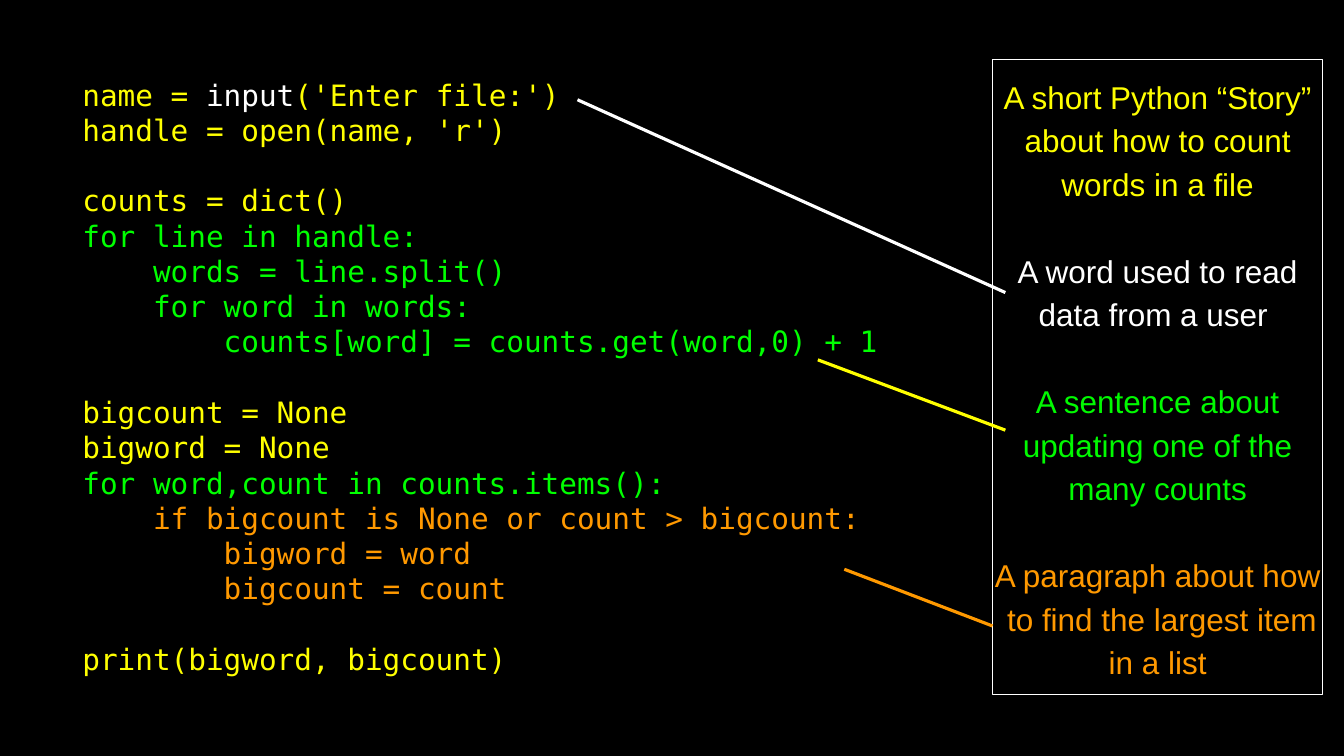
"""Build a slide that reads a word-counting program as a story."""
import pptx
import pptx.dml.color
import pptx.enum.shapes
import pptx.enum.text
import pptx.util
from pptx.oxml.ns import qn
from lxml import etree

Inches = pptx.util.Inches
Pt = pptx.util.Pt

THEME = {
    "black": "000000", "white": "FFFFFF", "yellow": "FFFF00",
    "green": "00FF00", "leaf": "00FA00", "orange": "FF9900",
    "code": {"font": "DejaVu Sans Mono", "size": 28, "pitch": 33.6},
    "story": {"font": "Arial", "size": 30, "pitch": 41.4},
    "border": 0.75, "pointer": 3,
}

CODE_STANZAS = [
    [
        [("name = ", "yellow"), ("input", "white"), ("('Enter file:')", "yellow")],
        [("handle = open(name, 'r')", "yellow")],
    ],
    [
        [("counts = dict()", "yellow")],
        [("for line in handle:", "green")],
        [("    words = line.split()", "green")],
        [("    for word in words:", "green")],
        [("        counts[word] = counts.get(word,0) + 1", "green")],
    ],
    [
        [("bigcount = None", "yellow")],
        [("bigword = None", "yellow")],
        [("for word,count in counts.items():", "green")],
        [("    if bigcount is None or count > bigcount:", "orange")],
        [("        bigword = word", "orange")],
        [("        bigcount = count", "orange")],
    ],
    [[("print(bigword, bigcount)", "yellow")]],
]
STORY_STANZAS = [
    [[("A short Python “Story” about how to count words in a file", "yellow")]],
    [[("A word used to read data from a user ", "white")]],
    [[("A sentence about updating one of the many counts", "leaf")]],
    [[("A paragraph about how  to find the largest item in a list", "orange")]],
]
CODE_BOX = (1.09, 0.85, 10.97, 8.26)
STORY_BOX = (13.13, 0.78, 4.37, 8.4)
POINTERS = [
    ((7.64, 1.32), (13.3, 3.87), "white"),
    ((10.82, 4.76), (13.3, 5.69), "yellow"),
    ((11.17, 7.53), (13.13, 8.28), "orange"),
]


def color(name):
    return pptx.dml.color.RGBColor.from_string(THEME[name])


def write_stanzas(shape, stanzas, style, alignment):
    frame = shape.text_frame
    frame.word_wrap = True
    frame.vertical_anchor = pptx.enum.text.MSO_ANCHOR.MIDDLE
    frame.margin_left = frame.margin_right = frame.margin_top = frame.margin_bottom = 0
    paragraph = None
    for stanza in stanzas:
        for index, line in enumerate(stanza):
            starts_later_stanza = paragraph is not None and index == 0
            paragraph = frame.paragraphs[0] if paragraph is None else frame.add_paragraph()
            paragraph.alignment = alignment
            paragraph.line_spacing = Pt(style["pitch"])
            paragraph.space_before = Pt(style["pitch"] if starts_later_stanza else 0)
            for text, color_name in line:
                run = paragraph.add_run()
                run.text = text
                run.font.name = style["font"]
                run.font.size = Pt(style["size"])
                run.font.color.rgb = color(color_name)


def add_pointer(slide, start, end, color_name):
    connector = slide.shapes.add_connector(
        pptx.enum.shapes.MSO_CONNECTOR.STRAIGHT, *map(Inches, start + end))
    connector.line.color.rgb = color(color_name)
    connector.line.width = Pt(THEME["pointer"])
    etree.SubElement(connector._element.spPr, qn("a:effectLst"))


def main():
    presentation = pptx.Presentation()
    presentation.slide_width = Inches(17.78)
    presentation.slide_height = Inches(10)
    slide = presentation.slides.add_slide(presentation.slide_layouts[6])
    slide.background.fill.solid()
    slide.background.fill.fore_color.rgb = color("black")

    code = slide.shapes.add_textbox(*map(Inches, CODE_BOX))
    write_stanzas(code, CODE_STANZAS, THEME["code"], pptx.enum.text.PP_ALIGN.LEFT)

    story = slide.shapes.add_shape(
        pptx.enum.shapes.MSO_SHAPE.RECTANGLE, *map(Inches, STORY_BOX))
    story.shadow.inherit = False
    story.fill.background()
    story.line.color.rgb = color("white")
    story.line.width = Pt(THEME["border"])
    write_stanzas(story, STORY_STANZAS, THEME["story"], pptx.enum.text.PP_ALIGN.CENTER)

    for start, end, color_name in POINTERS:
        add_pointer(slide, start, end, color_name)
    presentation.save("out.pptx")


if __name__ == "__main__":
    main()
